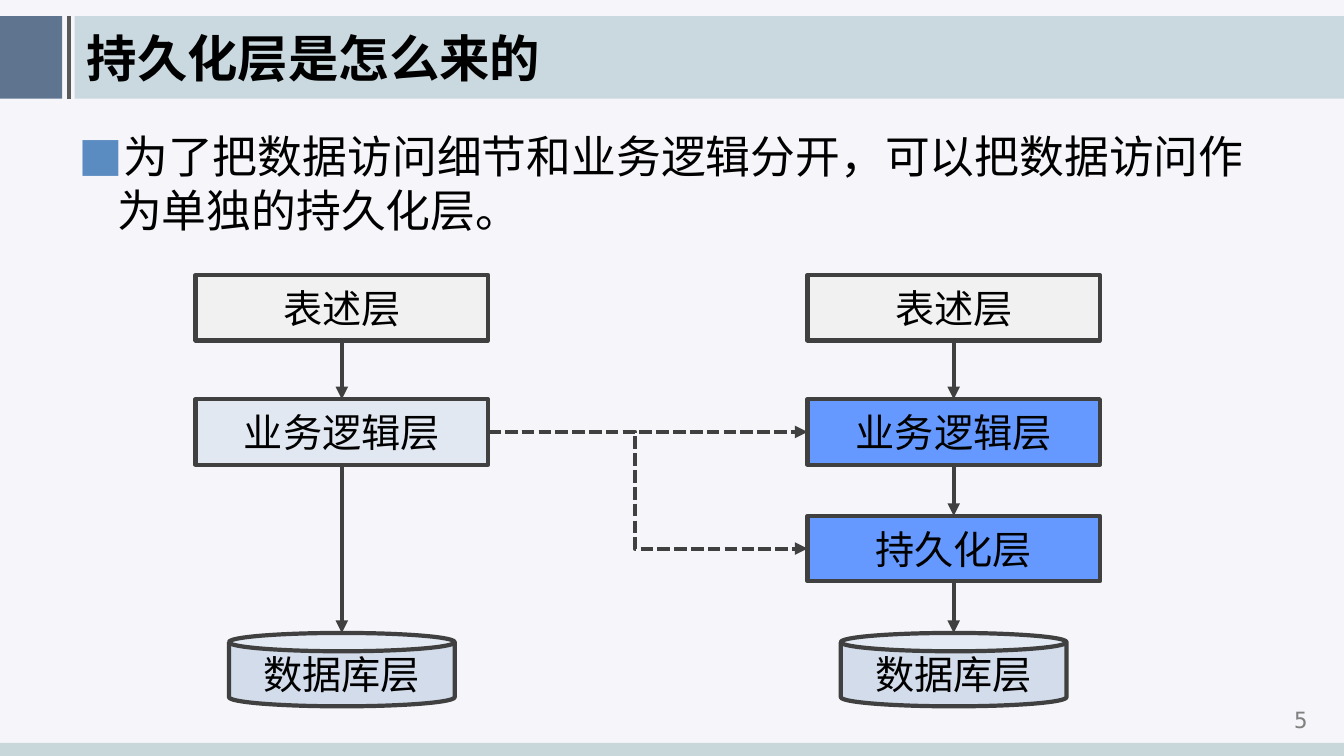
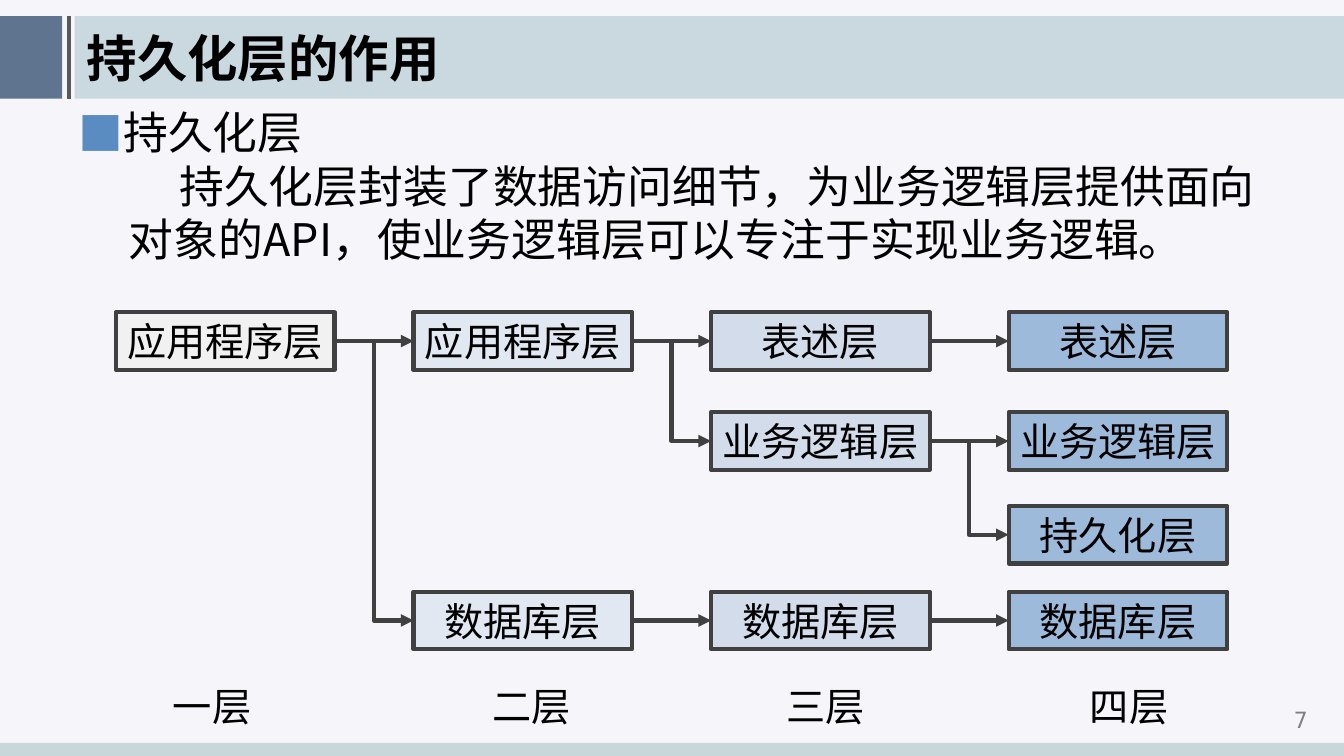
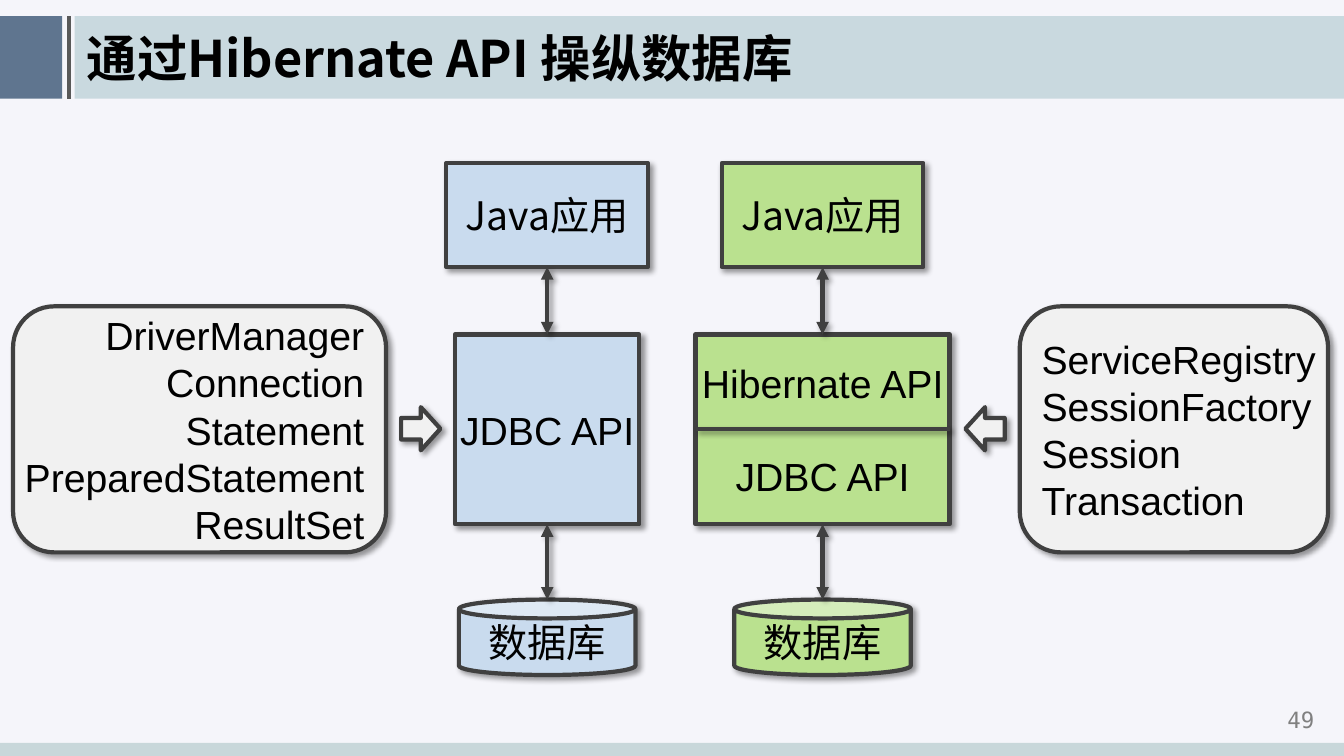
from lxml.etree import SubElement
from pptx import Presentation
from pptx.dml.color import RGBColor
from pptx.enum.dml import MSO_LINE
from pptx.enum.shapes import MSO_CONNECTOR, MSO_SHAPE
from pptx.enum.text import MSO_ANCHOR, PP_ALIGN
from pptx.oxml.ns import qn
from pptx.util import Cm, Pt

BLACK = RGBColor(0x00, 0x00, 0x00)
INK = RGBColor(0x40, 0x40, 0x40)
RULE = RGBColor(0x59, 0x59, 0x59)
NUMBER = RGBColor(0x80, 0x80, 0x80)
PAPER = RGBColor(0xF5, 0xF5, 0xFA)
NAVY = RGBColor(0x20, 0x40, 0x62)
TEAL = RGBColor(0x66, 0x99, 0xA1)
FOOTER = RGBColor(0xC8, 0xD7, 0xDA)
BULLET = RGBColor(0x5B, 0x8C, 0xC1)
LIGHT = RGBColor(0xF1, 0xF1, 0xF1)
MIST = RGBColor(0xE1, 0xE8, 0xF1)
HAZE = RGBColor(0xD3, 0xDC, 0xEB)
STEEL = RGBColor(0x9D, 0xBA, 0xDA)
BRIGHT = RGBColor(0x66, 0x99, 0xFF)
SKY = RGBColor(0xC9, 0xDB, 0xEE)
GREEN = RGBColor(0xBA, 0xE1, 0x8F)

HAN, LATIN, MONO = "Noto Sans CJK SC", "Arial", "DejaVu Sans Mono"
WIDTH, HEIGHT = 33.87, 19.05
TOP, LEFT, BOTTOM, RIGHT = range(4)

ORIGIN = {
    "title": "持久化层是怎么来的",
    "number": 5,
    "body": "为了把数据访问细节和业务逻辑分开，可以把数据访问作为单独的持久化层。",
    "row_tops": (6.93, 10.06, 13.0),
    "database": "数据库层",
    "stacks": [
        (4.93, [("表述层", 0, LIGHT), ("业务逻辑层", 1, MIST)]),
        (20.35, [("表述层", 0, LIGHT), ("业务逻辑层", 1, BRIGHT), ("持久化层", 2, BRIGHT)]),
    ],
}

ROLE = {
    "title": "持久化层的作用",
    "number": 7,
    "body": "持久化层",
    "detail": "持久化层封装了数据访问细节，为业务逻辑层提供面向对象的API，使业务逻辑层可以专注于实现业务逻辑。",
    "row_tops": (7.87, 10.39, 12.75, 14.91),
    "tiers": [
        ("一层", 6.58, LIGHT, {0: "应用程序层"}),
        ("二层", 14.63, MIST, {0: "应用程序层", 3: "数据库层"}),
        ("三层", 22.05, HAZE, {0: "表述层", 1: "业务逻辑层", 3: "数据库层"}),
        ("四层", 29.69, STEEL, {0: "表述层", 1: "业务逻辑层", 2: "持久化层", 3: "数据库层"}),
    ],
    "splits": [(0, 0, 0), (0, 0, 3), (1, 0, 0), (1, 0, 1), (1, 3, 3),
               (2, 0, 0), (2, 1, 1), (2, 1, 2), (2, 3, 3)],
}

ACCESS = {
    "title": "通过Hibernate API 操纵数据库",
    "number": 49,
    "application": "Java应用",
    "database": "数据库",
    "stacks": [
        (13.79, 4.65, SKY, ["JDBC API"]),
        (20.73, 6.4, GREEN, ["Hibernate API", "JDBC API"]),
    ],
    "classes": [
        (0.33, 9.4, PP_ALIGN.RIGHT,
         ["DriverManager", "Connection", "Statement", "PreparedStatement", "ResultSet"]),
        (25.7, 7.77, PP_ALIGN.LEFT,
         ["ServiceRegistry", "SessionFactory", "Session", "Transaction"]),
    ],
    "arrows": [(10.11, MSO_SHAPE.RIGHT_ARROW), (24.33, MSO_SHAPE.LEFT_ARROW)],
}


def write(shape, lines, size=28, font=HAN, color=BLACK, bold=False,
          align=PP_ALIGN.CENTER, anchor=MSO_ANCHOR.MIDDLE, wrap=False, gap=0):
    frame = shape.text_frame
    frame.word_wrap = wrap
    frame.vertical_anchor = anchor
    for index, line in enumerate(lines):
        paragraph = frame.add_paragraph() if index else frame.paragraphs[0]
        paragraph.alignment = align
        paragraph.line_spacing = 1.0
        paragraph.space_before = Pt(gap if index else 0)
        run = paragraph.add_run()
        run.text = line
        run.font.size, run.font.bold, run.font.name = Pt(size), bold, font
        run.font.color.rgb = color
        SubElement(run.font._element, qn("a:ea"), typeface=font)
    return frame.paragraphs


def text_box(slide, x, y, w, h, lines, **style):
    box = slide.shapes.add_textbox(Cm(x), Cm(y), Cm(w), Cm(h))
    return write(box, lines, **style)


def set_shadow(properties, shadow):
    effects = SubElement(properties, qn("a:effectLst"))
    if shadow:
        outer = SubElement(effects, qn("a:outerShdw"), blurRad="50800", dist="38100",
                           dir="2700000", algn="tl", rotWithShape="0")
        tint = SubElement(outer, qn("a:srgbClr"), val=str(BLACK))
        SubElement(tint, qn("a:alpha"), val="40000")


def block(slide, kind, x, y, w, h, fill, lines=(), outline=True, shadow=False,
          alpha=None, **style):
    shape = slide.shapes.add_shape(kind, Cm(x), Cm(y), Cm(w), Cm(h))
    shape.fill.solid()
    shape.fill.fore_color.rgb = fill
    if alpha:
        tint = shape.element.spPr.find(qn("a:solidFill"))[0]
        SubElement(tint, qn("a:alpha"), val=str(alpha * 1000))
    if outline:
        shape.line.color.rgb = INK
        shape.line.width = Pt(3)
    else:
        shape.line.fill.background()
    if shadow:
        set_shadow(shape.element.spPr, True)
    else:
        shape.shadow.inherit = False
    write(shape, lines, **style)
    return shape


def link(slide, start, end, kind=MSO_CONNECTOR.STRAIGHT, ends=("tailEnd",),
         color=INK, dashed=False, shadow=False, bend=None):
    points = [(0, 0) if hasattr(p[0], "shape_id") else p for p in (start, end)]
    line = slide.shapes.add_connector(kind, *(Cm(v) for point in points for v in point))
    if hasattr(start[0], "shape_id"):
        line.begin_connect(*start)
    if hasattr(end[0], "shape_id"):
        line.end_connect(*end)
    line.line.color.rgb = color
    line.line.width = Pt(3)
    if dashed:
        line.line.dash_style = MSO_LINE.SQUARE_DOT
    properties = line.element.spPr
    for tip in ends:
        SubElement(properties.find(qn("a:ln")), qn("a:" + tip), type="triangle")
    set_shadow(properties, shadow)
    if bend:
        guides = properties.find(qn("a:prstGeom")).find(qn("a:avLst"))
        if guides is None:
            guides = SubElement(properties.find(qn("a:prstGeom")), qn("a:avLst"))
        SubElement(guides, qn("a:gd"), name="adj1", fmla=f"val {bend * 1000}")
    return line


def dress_layout(layout, slide):
    layout.background.fill.solid()
    layout.background.fill.fore_color.rgb = PAPER
    parts = [
        block(slide, MSO_SHAPE.RECTANGLE, 0, 0.41, 1.57, 2.08, NAVY, outline=False, alpha=70),
        link(slide, (1.73, 2.49), (1.73, 0.41), ends=(), color=RULE),
        block(slide, MSO_SHAPE.RECTANGLE, 1.88, 0.41, WIDTH - 1.88, 2.08, TEAL,
              outline=False, alpha=30),
        block(slide, MSO_SHAPE.RECTANGLE, 0, 18.72, WIDTH, 0.33, FOOTER, outline=False),
    ]
    for number, part in enumerate(parts, 101):
        part.element.xpath(".//p:cNvPr")[0].set("id", str(number))
        layout.element.cSld.spTree.append(part.element)


def add_page(prs, content):
    layout = prs.slide_layouts[5]
    slide = prs.slides.add_slide(layout)
    if len(prs.slides) == 1:
        dress_layout(layout, slide)
    title = slide.shapes.title
    title.left, title.top, title.width, title.height = Cm(1.93), Cm(0.53), Cm(29.31), Cm(1.85)
    write(title, [content["title"]], size=36, bold=True, align=PP_ALIGN.LEFT, wrap=True)
    text_box(slide, 31.72, 17.68, 2.13, 0.79, [str(content["number"])], size=16,
             font=MONO, color=NUMBER, anchor=MSO_ANCHOR.TOP, wrap=True)
    return slide


def add_body(slide, y, h, lines):
    paragraphs = text_box(slide, 1.73, y, 30.4, h, lines, size=32, align=PP_ALIGN.LEFT,
                          anchor=MSO_ANCHOR.TOP, wrap=True)
    indents = [(0.97, -0.97), (1.27, 1.27)]
    for paragraph, (margin, indent) in zip(paragraphs, indents):
        properties = paragraph._p.get_or_add_pPr()
        properties.set("marL", str(Cm(margin)))
        properties.set("indent", str(Cm(indent)))
    paragraphs[0].space_before = Pt(3)
    properties = paragraphs[0]._p.get_or_add_pPr()
    SubElement(SubElement(properties, qn("a:buClr")), qn("a:srgbClr"), val=str(BULLET))
    SubElement(properties, qn("a:buFont"), typeface=HAN)
    SubElement(properties, qn("a:buChar"), char="■")


def build_origin(prs):
    slide = add_page(prs, ORIGIN)
    add_body(slide, 3.12, 3.4, [ORIGIN["body"]])
    w, h, can_w, can_top = 7.37, 1.65, 5.69, 15.95
    stacks = []
    for x, layers in ORIGIN["stacks"]:
        middle = x + w / 2
        boxes = [block(slide, MSO_SHAPE.RECTANGLE, x, ORIGIN["row_tops"][row], w, h, fill, [name])
                 for name, row, fill in layers]
        block(slide, MSO_SHAPE.CAN, middle - can_w / 2, can_top, can_w, 1.85, HAZE,
              [ORIGIN["database"]])
        for upper, lower in zip(boxes, boxes[1:]):
            link(slide, (upper, BOTTOM), (lower, TOP))
        link(slide, (boxes[-1], BOTTOM), (middle, can_top))
        stacks.append(boxes)
    (_, logic), (_, new_logic, persistence) = stacks
    link(slide, (logic, RIGHT), (new_logic, LEFT), dashed=True)
    link(slide, (logic, RIGHT), (persistence, LEFT), kind=MSO_CONNECTOR.ELBOW,
         dashed=True, bend=46)


def build_role(prs):
    slide = add_page(prs, ROLE)
    add_body(slide, 2.51, 5.41, [ROLE["body"], ROLE["detail"]])
    boxes = {}
    for column, (label, label_right, fill, layers) in enumerate(ROLE["tiers"]):
        for row, name in layers.items():
            boxes[column, row] = block(slide, MSO_SHAPE.RECTANGLE, 2.92 + 7.5 * column,
                                       ROLE["row_tops"][row], 5.51, 1.45, fill, [name])
        text_box(slide, label_right - 3, 17.07, 3, 1.45, [label], align=PP_ALIGN.RIGHT, wrap=True)
    for column, row, next_row in ROLE["splits"]:
        kind = MSO_CONNECTOR.STRAIGHT if row == next_row else MSO_CONNECTOR.ELBOW
        link(slide, (boxes[column, row], RIGHT), (boxes[column + 1, next_row], LEFT), kind=kind)


def build_access(prs):
    slide = add_page(prs, ACCESS)
    both = ("headEnd", "tailEnd")
    app_w, db_w, db_top = 5.08, 4.45, 15.11
    for middle, api_w, fill, names in ACCESS["stacks"]:
        application = block(slide, MSO_SHAPE.RECTANGLE, middle - app_w / 2, 4.11, app_w, 2.62,
                            fill, [ACCESS["application"]], shadow=True)
        api = block(slide, MSO_SHAPE.RECTANGLE, middle - api_w / 2, 8.43, api_w, 4.78,
                    fill, names, shadow=True, font=LATIN, gap=33)
        block(slide, MSO_SHAPE.CAN, middle - db_w / 2, db_top, db_w, 1.9, fill,
              [ACCESS["database"]], shadow=True)
        link(slide, (application, BOTTOM), (api, TOP), ends=both, shadow=True)
        link(slide, (api, BOTTOM), (middle, db_top), ends=both, shadow=True)
        if len(names) > 1:
            link(slide, (api, LEFT), (api, RIGHT), ends=(), shadow=True)
    for x, w, align, names in ACCESS["classes"]:
        block(slide, MSO_SHAPE.ROUNDED_RECTANGLE, x, 7.72, w, 6.2, LIGHT, names,
              shadow=True, font=LATIN, align=align)
    for x, kind in ACCESS["arrows"]:
        block(slide, kind, x, 10.26, 0.99, 1.09, LIGHT, shadow=True)


def main():
    prs = Presentation()
    prs.slide_width, prs.slide_height = Cm(WIDTH), Cm(HEIGHT)
    build_origin(prs)
    build_role(prs)
    build_access(prs)
    prs.save("out.pptx")


if __name__ == "__main__":
    main()
